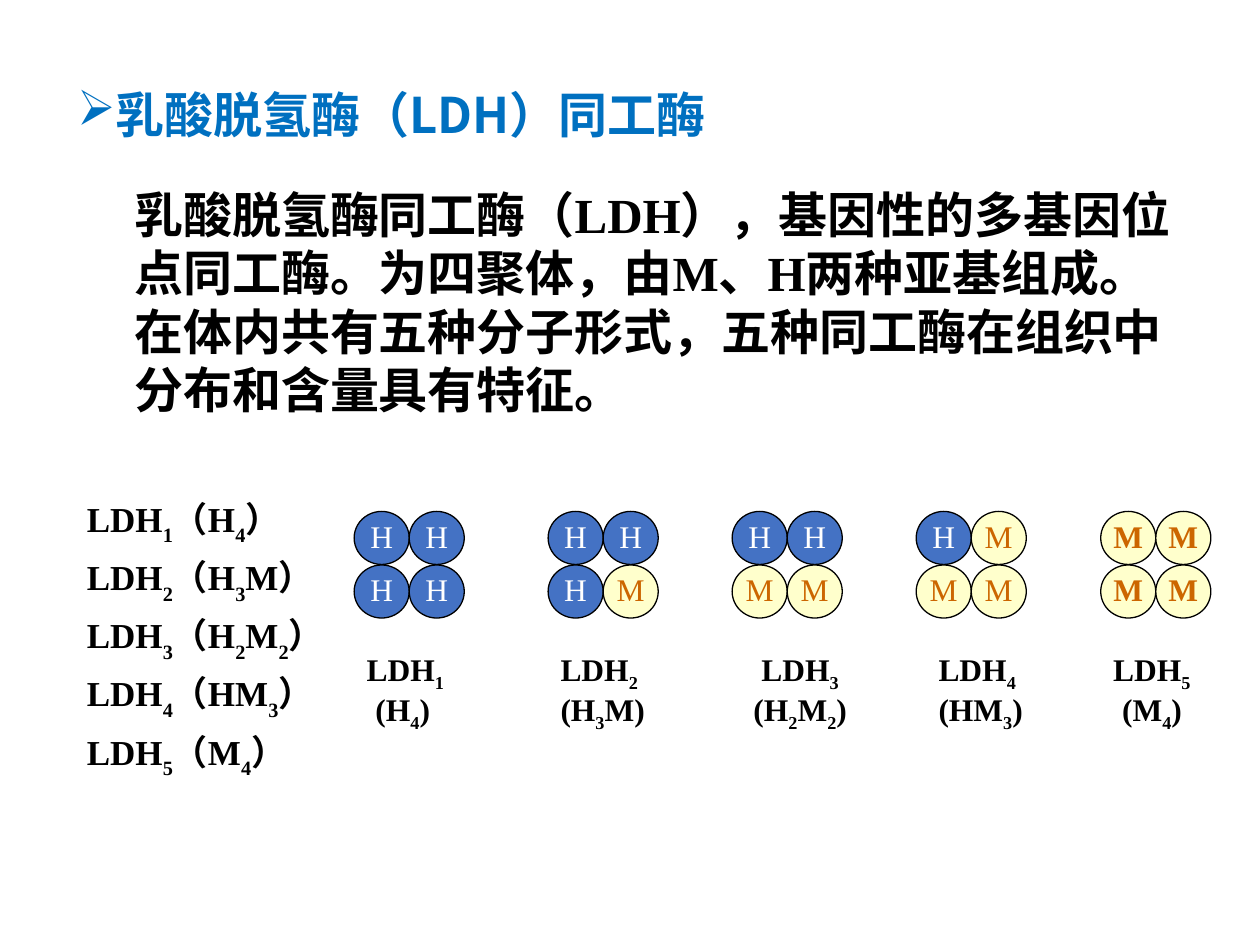
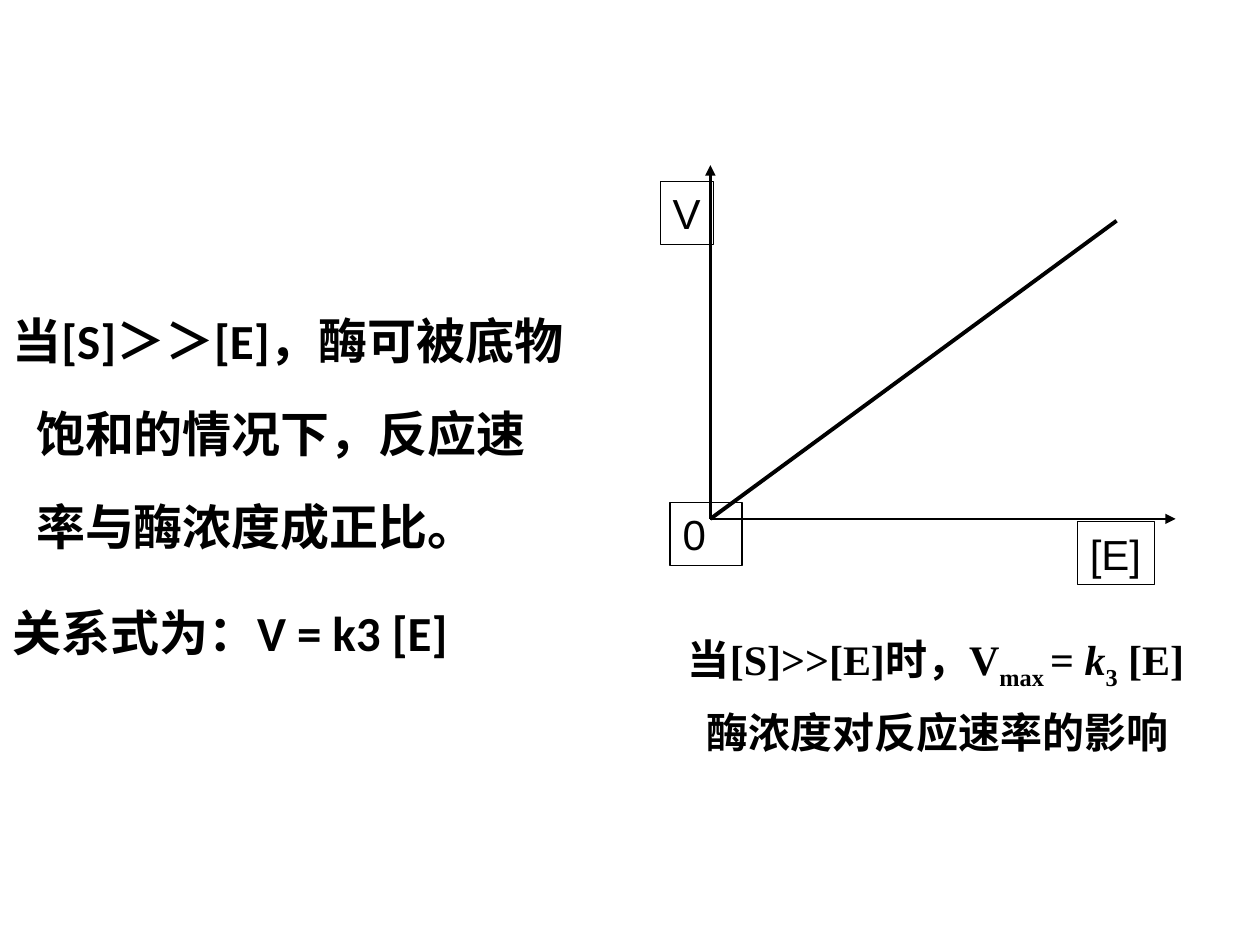
from lxml import etree
from pptx import Presentation
from pptx.dml.color import RGBColor
from pptx.enum import shapes, text
from pptx.oxml.ns import qn
from pptx.util import Cm, Pt

COLORS = {"title": "0070C0", "ink": "000000", "h_fill": "4472C4", "h_text": "FFFFFF",
          "m_fill": "FFFFCC", "m_text": "CC6600"}
SERIF, SANS, CJK = "Times New Roman", "Arial", "Noto Sans CJK SC"
TITLE_ONLY, BLANK = 5, 6

# Odd parts between bars are subscripts.
ISOENZYMES = ["LDH|1|（H|4|）", "LDH|2|（H|3|M）", "LDH|3|（H|2|M|2|）",
              "LDH|4|（HM|3|）", "LDH|5|（M|4|）"]
# Subunits, left of the tetramer, shift of its label, formula, indents of both lines.
TETRAMERS = [
    ("HHHH", 7.14, 0, "(H|4|)", 0, 0.18),
    ("HHHM", 11.05, 0, "(H|3|M)", 0, 0),
    ("HHMM", 14.76, 0.18, "(H|2|M|2|)", 0.16, 0),
    ("HMMM", 18.47, 0.2, "(HM|3|)", 0, 0),
    ("MMMM", 22.19, 0, "(M|4|)", 0, 0.18),
]


def rgb(name):
    return RGBColor.from_string(COLORS[name])


def write(paragraph, marked, size, font=SERIF, color="ink", bold=True, drop=-25):
    """Fill a paragraph; odd parts between bars are lowered by drop percent."""
    for index, part in enumerate(marked.split("|")):
        if part:
            run = paragraph.add_run()
            run.text = part
            if index % 2:
                run._r.get_or_add_rPr().set("baseline", str(drop * 1000))
    paragraph.font.size = Pt(size)
    paragraph.font.bold = bold
    paragraph.font.color.rgb = rgb(color)
    paragraph.font.name = font
    defaults = paragraph._p.pPr.find(qn("a:defRPr"))
    etree.SubElement(defaults, qn("a:ea"), typeface=CJK)


def indent(paragraph, left, first=0):
    properties = paragraph._p.get_or_add_pPr()
    properties.set("marL", str(Cm(left)))
    properties.set("indent", str(Cm(first)))


def add_text(slide, left, top, width, height, lines, size, spacing, before=0,
             align=None, hanging=0, **style):
    box = slide.shapes.add_textbox(Cm(left), Cm(top), Cm(width), Cm(height))
    frame = box.text_frame
    frame.word_wrap = True
    for index, line in enumerate(lines):
        paragraph = frame.add_paragraph() if index else frame.paragraphs[0]
        paragraph.line_spacing = Pt(spacing)
        paragraph.alignment = align
        if index and before:
            paragraph.space_before = Pt(before)
        if hanging:
            indent(paragraph, hanging, -hanging)
        write(paragraph, line, size, **style)
    return box


def add_outlined(slide, kind, left, top, width, height, fill=None):
    shape = slide.shapes.add_shape(kind, Cm(left), Cm(top), Cm(width), Cm(height))
    shape.shadow.inherit = False
    if fill:
        shape.fill.solid()
        shape.fill.fore_color.rgb = rgb(fill)
    else:
        shape.fill.background()
    shape.line.color.rgb = rgb("ink")
    shape.line.width = Pt(0.75)
    shape.text_frame.word_wrap = False
    return shape


def add_line(slide, start, end, width, arrow=False):
    line = slide.shapes.add_connector(
        shapes.MSO_CONNECTOR.STRAIGHT, *(Cm(value) for value in (*start, *end)))
    line.line.color.rgb = rgb("ink")
    line.line.width = Pt(width)
    if arrow:
        etree.SubElement(line.line._get_or_add_ln(), qn("a:tailEnd"), type="triangle")
    etree.SubElement(line._element.spPr, qn("a:effectLst"))


def set_title(slide, wording):
    title = slide.shapes.title
    title.left, title.top, title.width, title.height = Cm(1.3), Cm(0.71), Cm(22.86), Cm(3.18)
    frame = title.text_frame
    frame.auto_size = text.MSO_AUTO_SIZE.NONE
    frame.vertical_anchor = text.MSO_ANCHOR.MIDDLE
    paragraph = frame.paragraphs[0]
    paragraph.alignment = text.PP_ALIGN.LEFT
    indent(paragraph, 0)
    properties = paragraph._p.get_or_add_pPr()
    bullet_color = etree.SubElement(properties, qn("a:buClr"))
    etree.SubElement(bullet_color, qn("a:srgbClr"), val=COLORS["title"])
    etree.SubElement(properties, qn("a:buChar"), char="➢")
    write(paragraph, wording, 28, font=CJK, color="title")


def add_tetramer(slide, left, top, subunits):
    """Two by two touching subunits, filled row by row."""
    for index, subunit in enumerate(subunits):
        row, column = divmod(index, 2)
        kind = subunit.lower()
        circle = add_outlined(slide, shapes.MSO_SHAPE.OVAL, left + column * 1.11,
                              top + row * 1.08, 1.11, 1.07, f"{kind}_fill")
        circle.text_frame.vertical_anchor = text.MSO_ANCHOR.MIDDLE
        paragraph = circle.text_frame.paragraphs[0]
        paragraph.alignment = text.PP_ALIGN.CENTER
        paragraph.line_spacing = 0.9
        write(paragraph, subunit, 18, color=f"{kind}_text", bold=subunits == "MMMM")


def add_tetramer_label(slide, left, top, name, formula, name_indent, formula_indent):
    box = slide.shapes.add_textbox(Cm(left), Cm(top), Cm(2.85), Cm(1.8))
    frame = box.text_frame
    frame.word_wrap = True
    first, second = frame.paragraphs[0], frame.add_paragraph()
    first.line_spacing, second.line_spacing = 0.9, 0.7
    second.space_before = Pt(4.5)
    indent(first, name_indent)
    indent(second, formula_indent)
    write(first, name, 18)
    write(second, formula, 18)


def add_graph(slide, left, top):
    """Rate against enzyme concentration: two axes, a straight line, boxed labels."""
    origin = (left + 1.01, top + 7.13)
    add_line(slide, origin, (origin[0], top), 1.5, arrow=True)
    add_line(slide, origin, (left + 10.39, origin[1]), 1.5, arrow=True)
    add_line(slide, origin, (left + 9.2, top + 1.12), 2.25)
    for label, across, down, width in (("0", 0.2, 6.8, 1.45), ("V", 0, 0.33, 1.07),
                                       ("[E]", 8.41, 7.19, 1.55)):
        box = add_outlined(slide, shapes.MSO_SHAPE.RECTANGLE,
                           left + across, top + down, width, 1.27)
        box.text_frame.auto_size = text.MSO_AUTO_SIZE.SHAPE_TO_FIT_TEXT
        box.text_frame.vertical_anchor = text.MSO_ANCHOR.TOP
        paragraph = box.text_frame.paragraphs[0]
        paragraph.alignment = text.PP_ALIGN.LEFT
        write(paragraph, label, 24, font=SANS, bold=False)


def build_isoenzyme_slide(presentation):
    slide = presentation.slides.add_slide(presentation.slide_layouts[TITLE_ONLY])
    set_title(slide, "乳酸脱氢酶（LDH）同工酶")
    add_text(slide, 2.46, 3.6, 21.44, 5.2,
             ["乳酸脱氢酶同工酶（LDH），基因性的多基因位点同工酶。为四聚体，由M、H两种亚基组成。"
              "在体内共有五种分子形式，五种同工酶在组织中分布和含量具有特征。"], 28, 33.4)
    add_text(slide, 1.5, 9.9, 6.1, 6, ISOENZYMES, 20, 28.3, before=5, drop=-30)
    for number, (subunits, left, shift, formula, *indents) in enumerate(TETRAMERS, 1):
        add_tetramer(slide, left, 10.31, subunits)
        add_tetramer_label(slide, left + shift, 13, f"LDH|{number}", formula, *indents)


def build_concentration_slide(presentation):
    slide = presentation.slides.add_slide(presentation.slide_layouts[BLANK])
    add_text(slide, 0, 5.44, 11.81, 8.61,
             ["当[S]＞＞[E]，酶可被底物饱和的情况下，反应速率与酶浓度成正比。",
              "关系式为：V = k3 [E]"], 28, 53.2, before=7.5, hanging=0.48, font="Calibri")
    add_graph(slide, 13.31, 3.33)
    centre = text.PP_ALIGN.CENTER
    equation = add_text(slide, 12.9, 12.78, 11.94, 1.3,
                        ["当[S]>>[E]时，V|max |= ||k|3| [E]"], 24, 29, align=centre)
    rate_constant = equation.text_frame.paragraphs[0].runs[3]
    rate_constant.font.italic = True
    add_text(slide, 12.9, 14.12, 12.01, 1.3, ["酶浓度对反应速率的影响"], 24, 29, align=centre)


def main():
    presentation = Presentation()
    presentation.slide_width, presentation.slide_height = Cm(25.4), Cm(19.05)
    build_isoenzyme_slide(presentation)
    build_concentration_slide(presentation)
    presentation.save("out.pptx")


if __name__ == "__main__":
    main()
